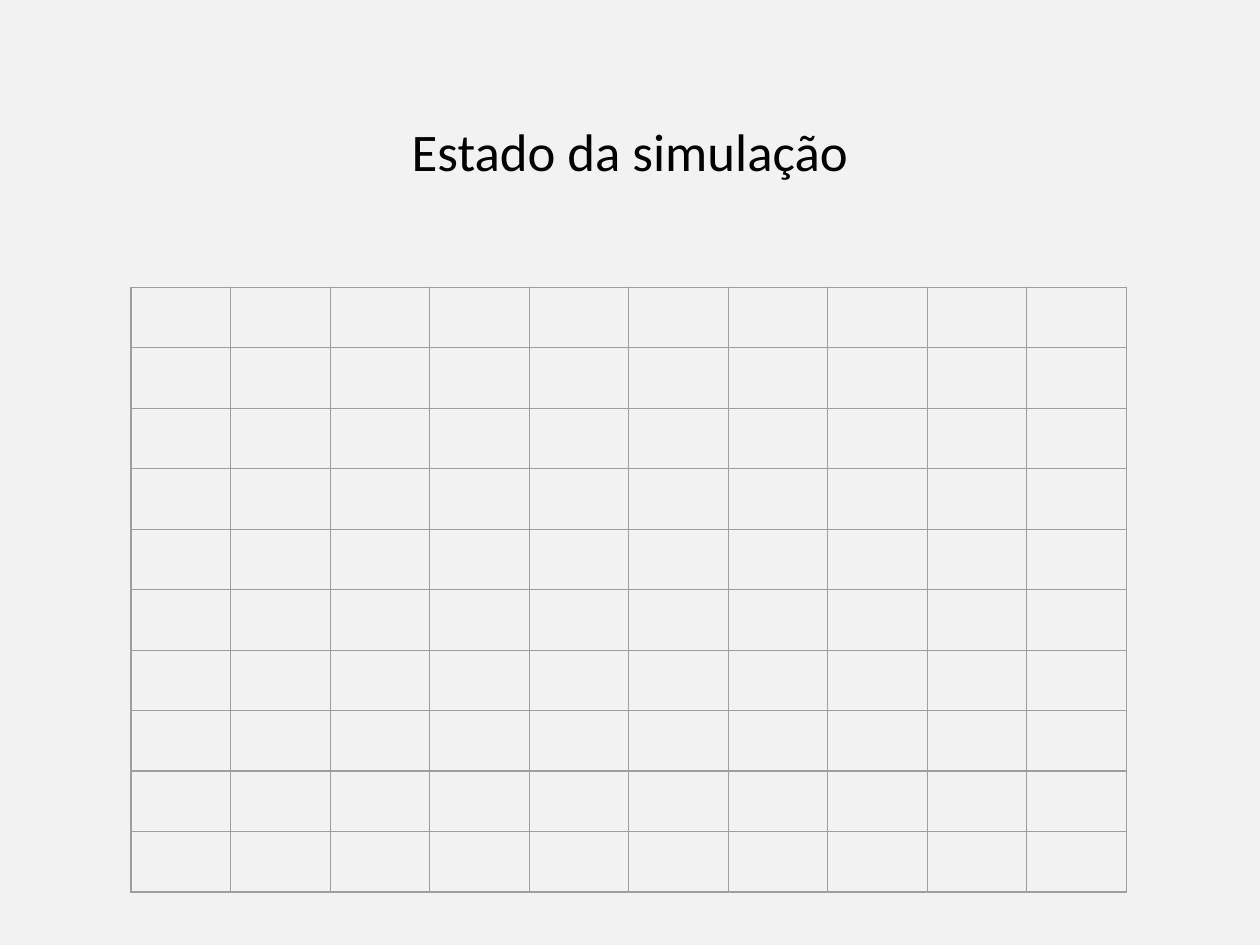
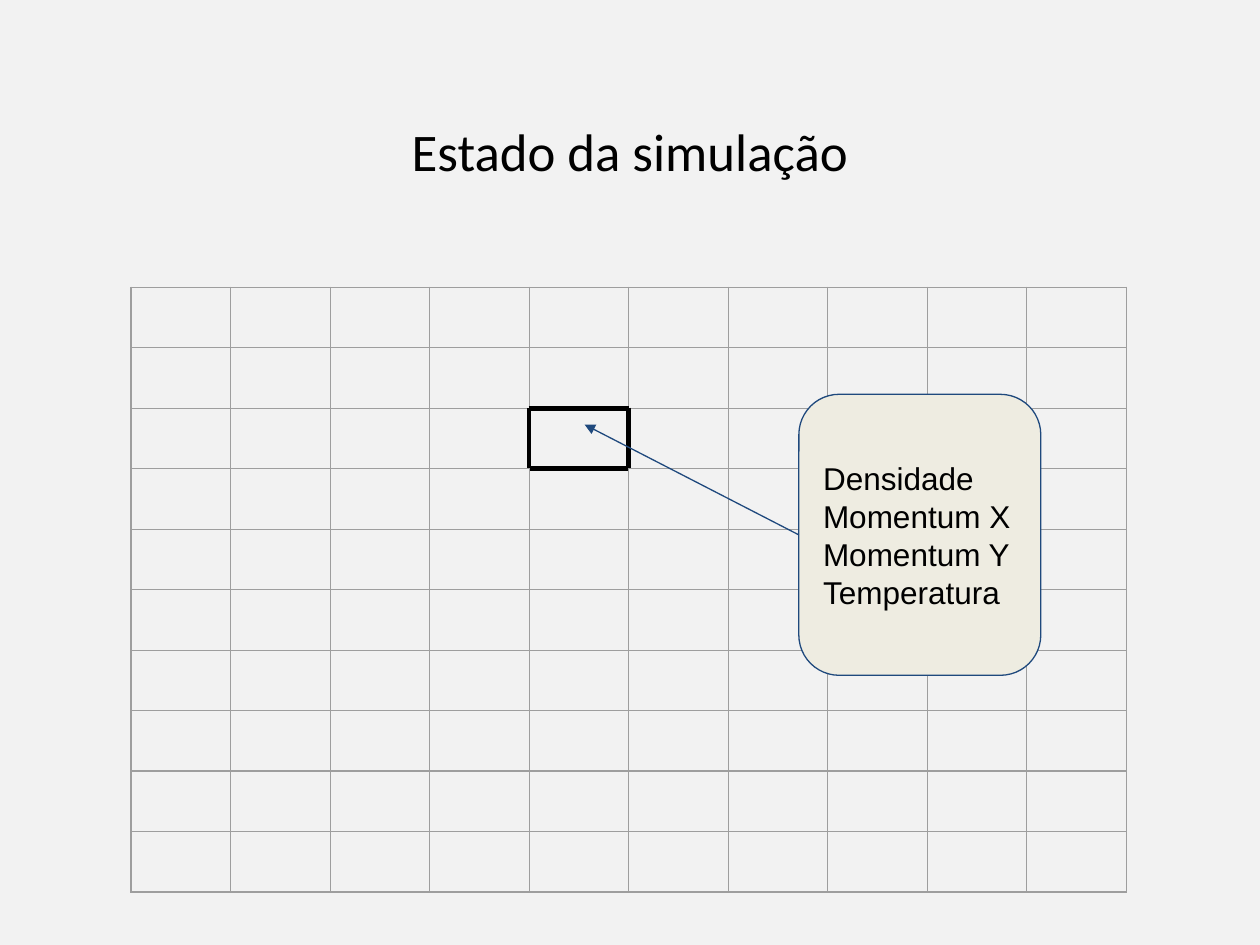
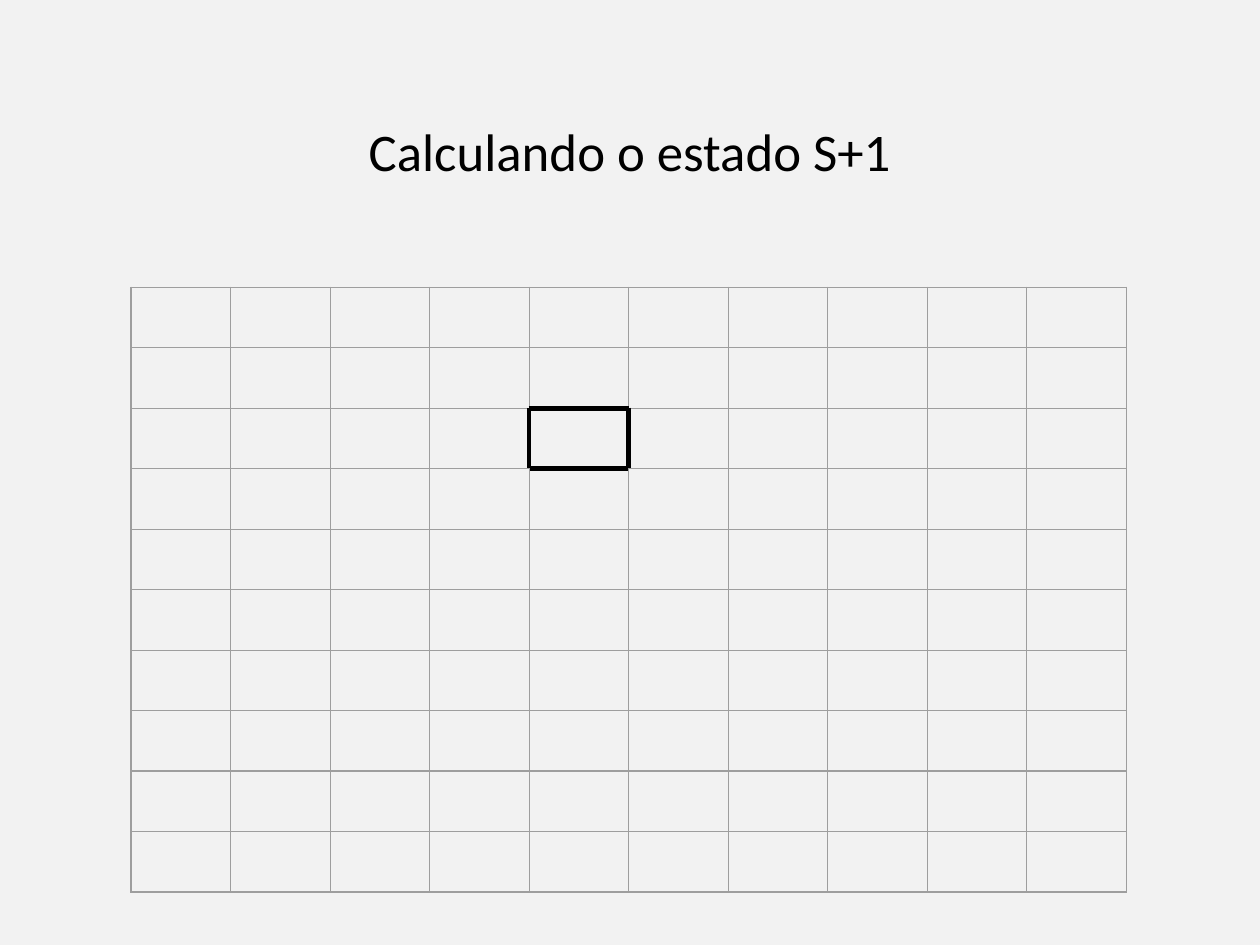
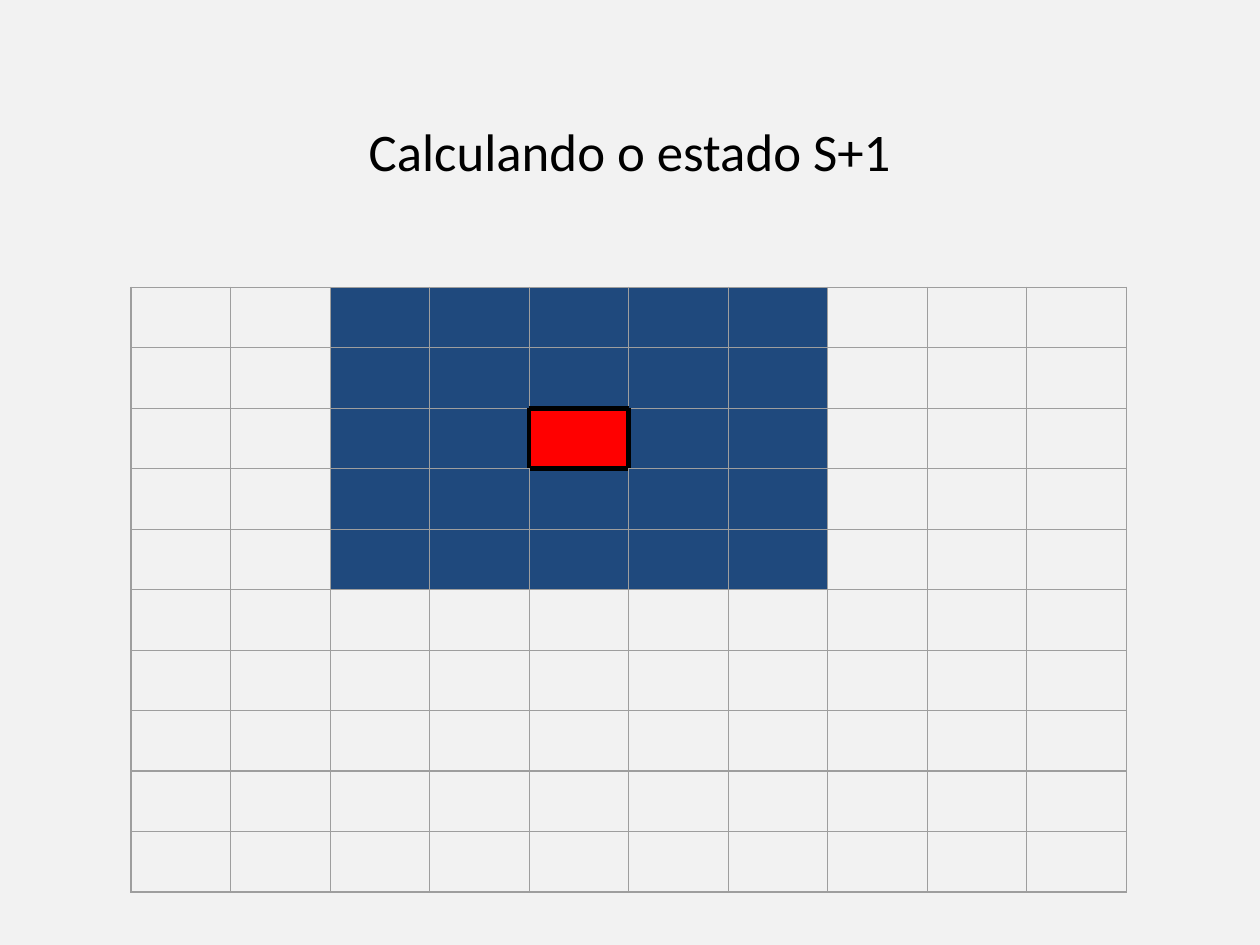
"""Builds four slides on the grid state of a simulation."""
import dataclasses
import itertools

import lxml.etree
import pptx
import pptx.dml.color
import pptx.enum.shapes
import pptx.enum.text
import pptx.oxml.ns
import pptx.util


@dataclasses.dataclass(frozen=True)
class Theme:
    background: str = "F2F2F2"
    ink: str = "000000"
    grid: str = "9E9E9E"
    navy: str = "1F497D"
    cream: str = "EEECE1"
    red: str = "FF0000"
    title_font: str = "Calibri"
    body_font: str = "Arial"
    title_size: float = 30.2
    body_size: float = 18
    thin: float = 0.75
    thick: float = 3


GRID_SIZE = 10
FOCUS = (2, 4)
REACH = 2
SIDES = {"L": (0, -1), "R": (0, 1), "T": (-1, 0), "B": (1, 0)}


def color(value):
    return pptx.dml.color.RGBColor.from_string(value)


def inches(*lengths):
    return [pptx.util.Inches(length) for length in lengths]


def add_element(parent, tag, **attributes):
    return lxml.etree.SubElement(parent, pptx.oxml.ns.qn(tag), **attributes)


class Deck:
    def __init__(self, theme):
        self.theme = theme
        self.deck = pptx.Presentation()
        self.deck.slide_width, self.deck.slide_height = inches(10, 7.5)
        self.page = None

    def add_page(self, title):
        self.page = self.deck.slides.add_slide(self.deck.slide_layouts[6])
        self.paint(self.page.background.fill, self.theme.background)
        box = self.page.shapes.add_textbox(*inches(0.34, 0.65, 9.32, 0.83))
        self.set_text(box.text_frame, [title], self.theme.title_font,
                      self.theme.title_size, pptx.enum.text.PP_ALIGN.CENTER, 1.5)

    def paint(self, fill, value):
        fill.solid()
        fill.fore_color.rgb = color(value)

    def set_text(self, frame, lines, font, size, alignment, spacing=None):
        frame.word_wrap = True
        frame.vertical_anchor = pptx.enum.text.MSO_ANCHOR.MIDDLE
        frame.text = "\n".join(lines)
        for para in frame.paragraphs:
            para.alignment = alignment
            para.line_spacing = spacing
            para.font.name = font
            para.font.size = pptx.util.Pt(size)
            para.font.color.rgb = color(self.theme.ink)

    def add_grid(self, focused=False, filled=False):
        table = self.page.shapes.add_table(
            GRID_SIZE, GRID_SIZE,
            *inches(1.04, 2.28, 0.79 * GRID_SIZE, 0.48 * GRID_SIZE)).table
        table.first_row = table.horz_banding = False
        for row, column in itertools.product(range(GRID_SIZE), repeat=2):
            cell = table.cell(row, column)
            for side, (down, right) in SIDES.items():
                touches = FOCUS in ((row, column), (row + down, column + right))
                self.add_border(cell, side, focused and touches)
            distance = max(abs(row - FOCUS[0]), abs(column - FOCUS[1]))
            if filled and distance <= REACH:
                self.paint(cell.fill, self.theme.navy if distance else self.theme.red)
            else:
                cell.fill.background()

    def add_border(self, cell, side, strong):
        width = self.theme.thick if strong else self.theme.thin
        line = add_element(cell._tc.get_or_add_tcPr(), f"a:ln{side}",
                           w=str(pptx.util.Pt(width)))
        add_element(add_element(line, "a:solidFill"), "a:srgbClr",
                    val=self.theme.ink if strong else self.theme.grid)

    def style_line(self, line):
        line.color.rgb = color(self.theme.navy)
        line.width = pptx.util.Pt(self.theme.thin)

    def add_card(self, lines, left, top, width, height):
        card = self.page.shapes.add_shape(
            pptx.enum.shapes.MSO_SHAPE.ROUNDED_RECTANGLE,
            *inches(left, top, width, height))
        card.shadow.inherit = False
        self.paint(card.fill, self.theme.cream)
        self.style_line(card.line)
        frame = card.text_frame
        frame.margin_left = frame.margin_right = pptx.util.Inches(0.1)
        frame.margin_top = frame.margin_bottom = pptx.util.Inches(0.1)
        self.set_text(frame, lines, self.theme.body_font, self.theme.body_size,
                      pptx.enum.text.PP_ALIGN.LEFT)
        return card

    def add_arrow(self, card, left, top):
        arrow = self.page.shapes.add_connector(
            pptx.enum.shapes.MSO_CONNECTOR.STRAIGHT,
            card.left, card.top + card.height // 2, *inches(left, top))
        arrow.begin_connect(card, 1)
        self.style_line(arrow.line)
        add_element(arrow.line._get_or_add_ln(), "a:tailEnd", type="triangle")
        add_element(arrow._element.spPr, "a:effectLst")


def main():
    deck = Deck(Theme())

    deck.add_page("Estado da simulação")
    deck.add_grid()

    deck.add_page("Estado da simulação")
    deck.add_grid(focused=True)
    card = deck.add_card(
        ["Densidade", "Momentum X", "Momentum Y", "Temperatura"],
        6.34, 3.13, 1.92, 2.23)
    deck.add_arrow(card, 4.64, 3.37)

    for filled in (False, True):
        deck.add_page("Calculando o estado S+1")
        deck.add_grid(focused=True, filled=filled)

    deck.deck.save("out.pptx")


if __name__ == "__main__":
    main()
